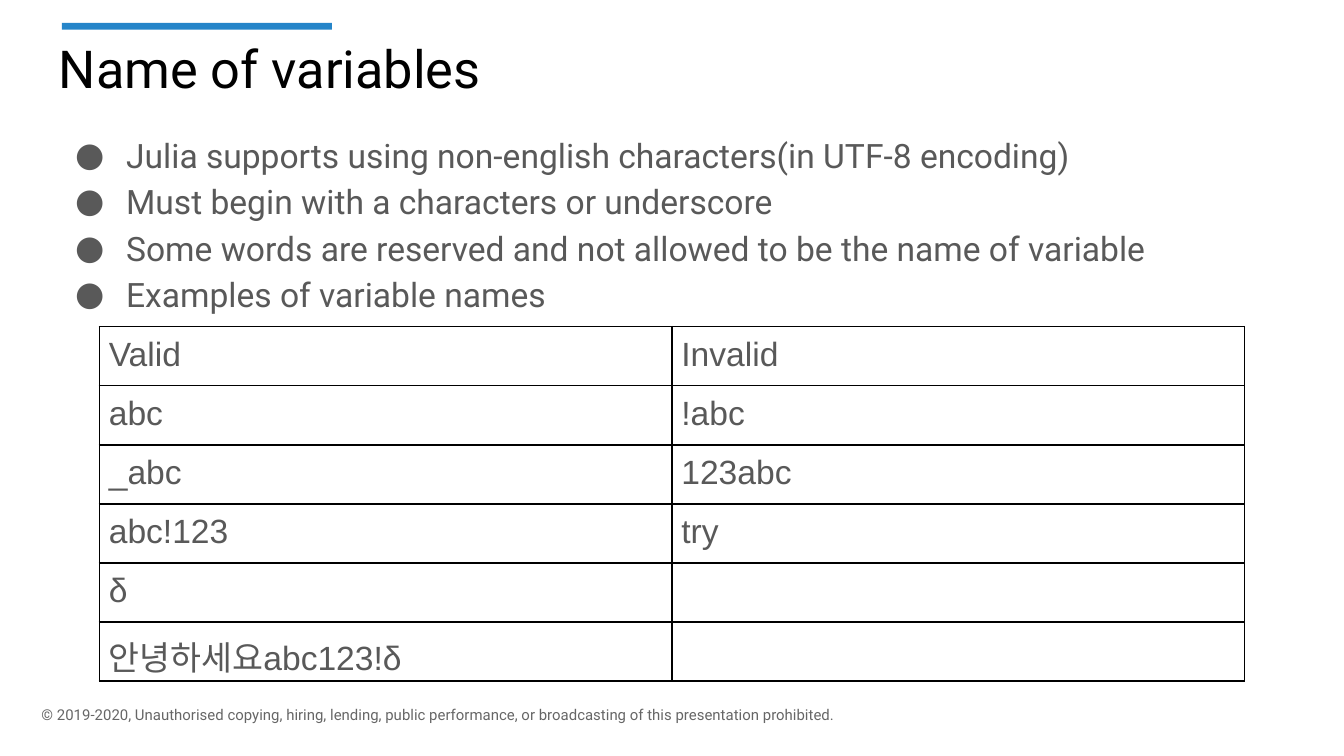
"""Build the slide on names of variables."""
from lxml.etree import SubElement
from pptx import Presentation
from pptx.dml.color import RGBColor
from pptx.enum.shapes import MSO_SHAPE as Shape
from pptx.enum.text import MSO_ANCHOR as Anchor
from pptx.oxml.ns import qn
from pptx.util import Inches, Pt

BLACK = RGBColor(0x00, 0x00, 0x00)
BLUE = RGBColor(0x25, 0x85, 0xC9)
DARK = RGBColor(0x59, 0x59, 0x59)
GREY = RGBColor(0x66, 0x66, 0x66)


def write(frame, text, size=18, color=DARK, font="Roboto", inset=0.1,
          anchor=Anchor.TOP, bullet=None):
    frame.word_wrap = True
    frame.vertical_anchor = anchor
    frame.margin_left = frame.margin_right = Inches(inset)
    frame.margin_top = frame.margin_bottom = Inches(inset)
    frame.text = text
    for para in frame.paragraphs:
        for run in para.runs:
            run.font.name = font
            run.font.size = Pt(size)
            run.font.color.rgb = color
        if bullet:
            para.line_spacing = 1.15
            props = para._p.get_or_add_pPr()
            props.set("marL", str(Inches(0.5)))
            props.set("indent", str(Inches(-0.38)))
            tint = SubElement(props, qn("a:buClr"))
            SubElement(tint, qn("a:srgbClr"), val=str(color))
            SubElement(props, qn("a:buSzPts"), val=str(size * 100))
            SubElement(props, qn("a:buFont"), typeface=font)
            SubElement(props, qn("a:buChar"), char=bullet)


def border(cell):
    props = cell._tc.get_or_add_tcPr()
    for i, side in enumerate(("a:lnL", "a:lnR", "a:lnT", "a:lnB")):
        line = props.makeelement(qn(side), {"w": str(Pt(1))})
        fill = SubElement(line, qn("a:solidFill"))
        SubElement(fill, qn("a:srgbClr"), val=str(BLACK))
        props.insert(i, line)


deck = Presentation()
deck.slide_width = Inches(10)
deck.slide_height = Inches(10 * 9 / 16)
slide = deck.slides.add_slide(deck.slide_layouts[6])
shapes = slide.shapes

foot = shapes.add_textbox(Inches(0.21), Inches(5.15), Inches(9.45), Inches(0.34))
write(foot.text_frame,
      "© 2019-2020, Unauthorised copying, hiring, lending, public performance, "
      "or broadcasting of this presentation prohibited.",
      size=8, color=GREY, anchor=Anchor.MIDDLE)

bar = shapes.add_shape(Shape.RECTANGLE, Inches(0.46), Inches(0.17),
                       Inches(2.01), Inches(0.05))
bar.shadow.inherit = False
bar.fill.solid()
bar.fill.fore_color.rgb = BLUE
bar.line.fill.background()

title = shapes.add_textbox(Inches(0.34), Inches(0.17), Inches(9.32), Inches(0.63))
write(title.text_frame, "Name of variables", size=28, color=BLACK)

points = [
    "Julia supports using non-english characters(in UTF-8 encoding)",
    "Must begin with a characters or underscore",
    "Some words are reserved and not allowed to be the name of variable",
    "Examples of variable names",
]
body = shapes.add_textbox(Inches(0.34), Inches(0.86), Inches(9.32), Inches(3.74))
write(body.text_frame, "\n".join(points), bullet="●")

rows = [
    ("Valid", "Invalid"),
    ("abc", "!abc"),
    ("_abc", "123abc"),
    ("abc!123", "try"),
    ("δ", ""),
    ("안녕하세요abc123!δ", ""),
]
grid = shapes.add_table(len(rows), 2, Inches(0.74), Inches(2.43),
                        Inches(8.52), Inches(2.58))
table = grid.table
table.first_row = False
table.horz_banding = False
for r, row in enumerate(rows):
    table.rows[r].height = Inches(0.43)
    for c, text in enumerate(row):
        cell = table.cell(r, c)
        cell.fill.background()
        border(cell)
        cell.margin_left = cell.margin_right = Inches(0.07)
        cell.margin_top = cell.margin_bottom = Inches(0.07)
        if text:
            write(cell.text_frame, text, font="Arial", inset=0.07)
grid.width = grid.height = Inches(3.28)

deck.save("out.pptx")
